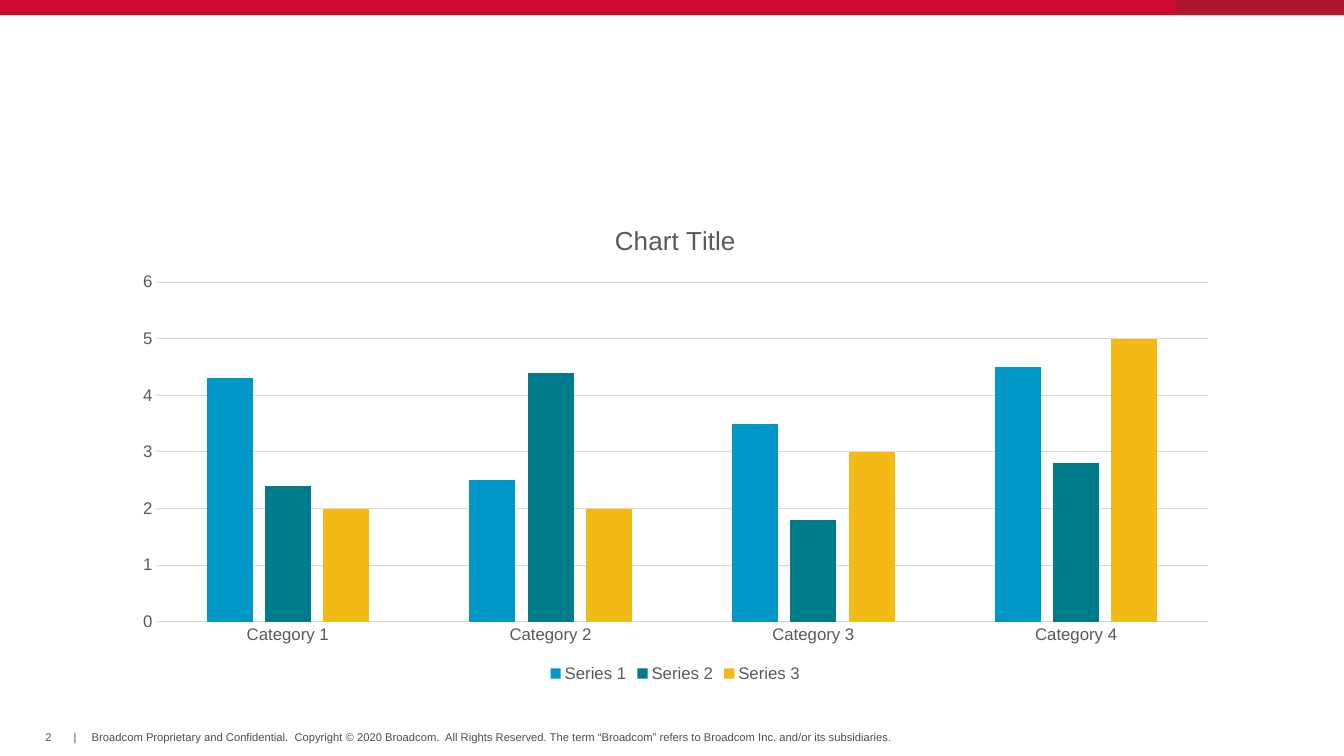
from dataclasses import dataclass

import pptx
import pptx.chart.data
import pptx.dml.color
import pptx.enum.chart
import pptx.enum.shapes
import pptx.enum.text
import pptx.slide
import pptx.text.text
import pptx.util

Pt = pptx.util.Pt
RGBColor = pptx.dml.color.RGBColor

BAR_RED = RGBColor(0xCC, 0x09, 0x2F)
BAR_DARK_RED = RGBColor(0xAB, 0x16, 0x2C)
FOOTER_GREY = RGBColor(0x4D, 0x4D, 0x4F)
CHART_GREY = RGBColor(0x59, 0x59, 0x59)
GRID_GREY = RGBColor(0xD9, 0xD9, 0xD9)
BLUE = RGBColor(0x00, 0x98, 0xC7)
TEAL = RGBColor(0x00, 0x7B, 0x8C)
YELLOW = RGBColor(0xF3, 0xBA, 0x16)

SLIDE_WIDTH, SLIDE_HEIGHT = 960, 540
BAR_HEIGHT = 10.8
FOOTER_TOP, FOOTER_HEIGHT = 522, 9.36


@dataclass(frozen=True)
class Band:
    left: float
    color: RGBColor


@dataclass(frozen=True)
class FooterPart:
    left: float
    width: float
    text: str
    anchor: pptx.enum.text.MSO_ANCHOR = pptx.enum.text.MSO_ANCHOR.MIDDLE


@dataclass(frozen=True)
class Series:
    name: str
    values: tuple[float, ...]
    color: RGBColor


BANDS = (Band(0, BAR_RED), Band(839.5, BAR_DARK_RED))
FOOTER = (
    FooterPart(32.4, 10, "2"),
    FooterPart(
        65.5, 577,
        "Broadcom Proprietary and Confidential.  Copyright © 2020 Broadcom.  "
        "All Rights Reserved. The term “Broadcom” refers to Broadcom Inc. "
        "and/or its subsidiaries.",
        pptx.enum.text.MSO_ANCHOR.TOP,
    ),
    FooterPart(52.6, 2.2, "|"),
)
CATEGORIES = [f"Category {number}" for number in range(1, 5)]
SERIES = (
    Series("Series 1", (4.3, 2.5, 3.5, 4.5), BLUE),
    Series("Series 2", (2.4, 4.4, 1.8, 2.8), TEAL),
    Series("Series 3", (2, 2, 3, 5), YELLOW),
)


def set_attributes(target: object, values: dict[str, object]) -> None:
    for name, value in values.items():
        setattr(target, name, value)


def format_font(font: pptx.text.text.Font, size: float, color: RGBColor) -> None:
    set_attributes(font, {"name": "Arial", "size": Pt(size), "bold": False})
    font.color.rgb = color


def draw_band(slide: pptx.slide.Slide, band: Band) -> None:
    bar = slide.shapes.add_shape(
        pptx.enum.shapes.MSO_SHAPE.RECTANGLE,
        Pt(band.left), Pt(0), Pt(SLIDE_WIDTH - band.left), Pt(BAR_HEIGHT),
    )
    bar.shadow.inherit = False
    bar.fill.solid()
    bar.fill.fore_color.rgb = band.color
    bar.line.fill.background()


def draw_footer_part(slide: pptx.slide.Slide, part: FooterPart) -> None:
    frame = slide.shapes.add_textbox(
        Pt(part.left), Pt(FOOTER_TOP), Pt(part.width), Pt(FOOTER_HEIGHT)
    ).text_frame
    set_attributes(frame, {
        "margin_left": 0, "margin_top": 0, "margin_right": 0, "margin_bottom": 0,
        "vertical_anchor": part.anchor, "word_wrap": False,
    })
    run = frame.paragraphs[0].add_run()
    run.text = part.text
    format_font(run.font, 8, FOOTER_GREY)


def draw_chart(slide: pptx.slide.Slide) -> None:
    data = pptx.chart.data.CategoryChartData()
    data.categories = CATEGORIES
    for series in SERIES:
        data.add_series(series.name, series.values)
    chart = slide.shapes.add_chart(
        pptx.enum.chart.XL_CHART_TYPE.COLUMN_CLUSTERED,
        Pt(86.4), Pt(145.4), Pt(792), Pt(345), data,
    ).chart
    format_font(chart.font, 12, CHART_GREY)

    chart.has_title = True
    heading = chart.chart_title.text_frame.paragraphs[0].add_run()
    heading.text = "Chart Title"
    format_font(heading.font, 18.6, CHART_GREY)

    chart.has_legend = True
    set_attributes(chart.legend, {
        "position": pptx.enum.chart.XL_LEGEND_POSITION.BOTTOM,
        "include_in_layout": False,
    })
    format_font(chart.legend.font, 12, CHART_GREY)

    for axis in (chart.category_axis, chart.value_axis):
        set_attributes(axis, {
            "major_tick_mark": pptx.enum.chart.XL_TICK_MARK.NONE,
            "minor_tick_mark": pptx.enum.chart.XL_TICK_MARK.NONE,
        })
        format_font(axis.tick_labels.font, 12, CHART_GREY)
    set_attributes(chart.value_axis, {
        "minimum_scale": 0, "maximum_scale": 6, "major_unit": 1,
        "has_major_gridlines": True,
    })
    chart.value_axis.format.line.fill.background()
    for line in (chart.category_axis.format.line,
                 chart.value_axis.major_gridlines.format.line):
        line.color.rgb = GRID_GREY
        line.width = Pt(0.75)

    columns = chart.plots[0]
    set_attributes(columns, {
        "gap_width": 219, "overlap": -27, "vary_by_categories": False,
    })
    for column, series in zip(columns.series, SERIES):
        column.format.fill.solid()
        column.format.fill.fore_color.rgb = series.color


def main() -> None:
    deck = pptx.Presentation()
    set_attributes(deck, {
        "slide_width": Pt(SLIDE_WIDTH), "slide_height": Pt(SLIDE_HEIGHT),
    })
    slide = deck.slides.add_slide(deck.slide_layouts.get_by_name("Blank"))
    for part in FOOTER:
        draw_footer_part(slide, part)
    for band in BANDS:
        draw_band(slide, band)
    draw_chart(slide)
    deck.save("out.pptx")


if __name__ == "__main__":
    main()
